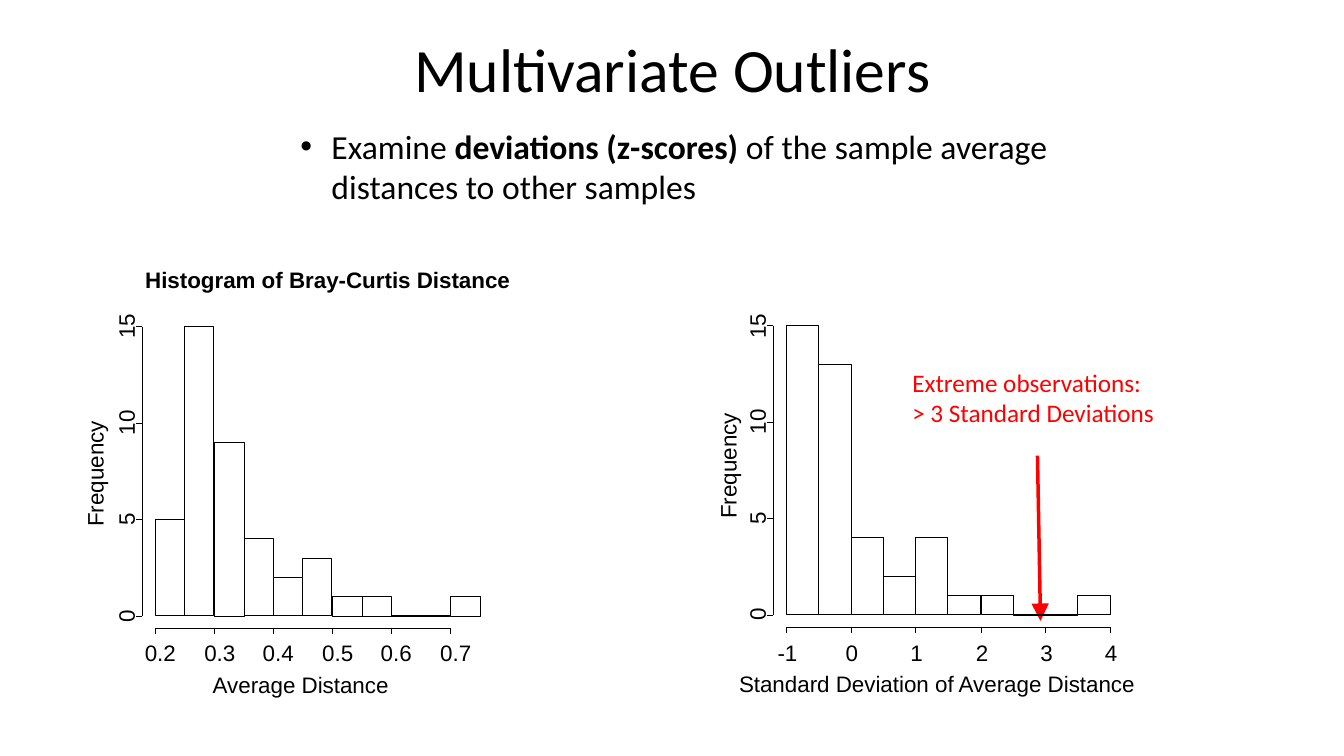
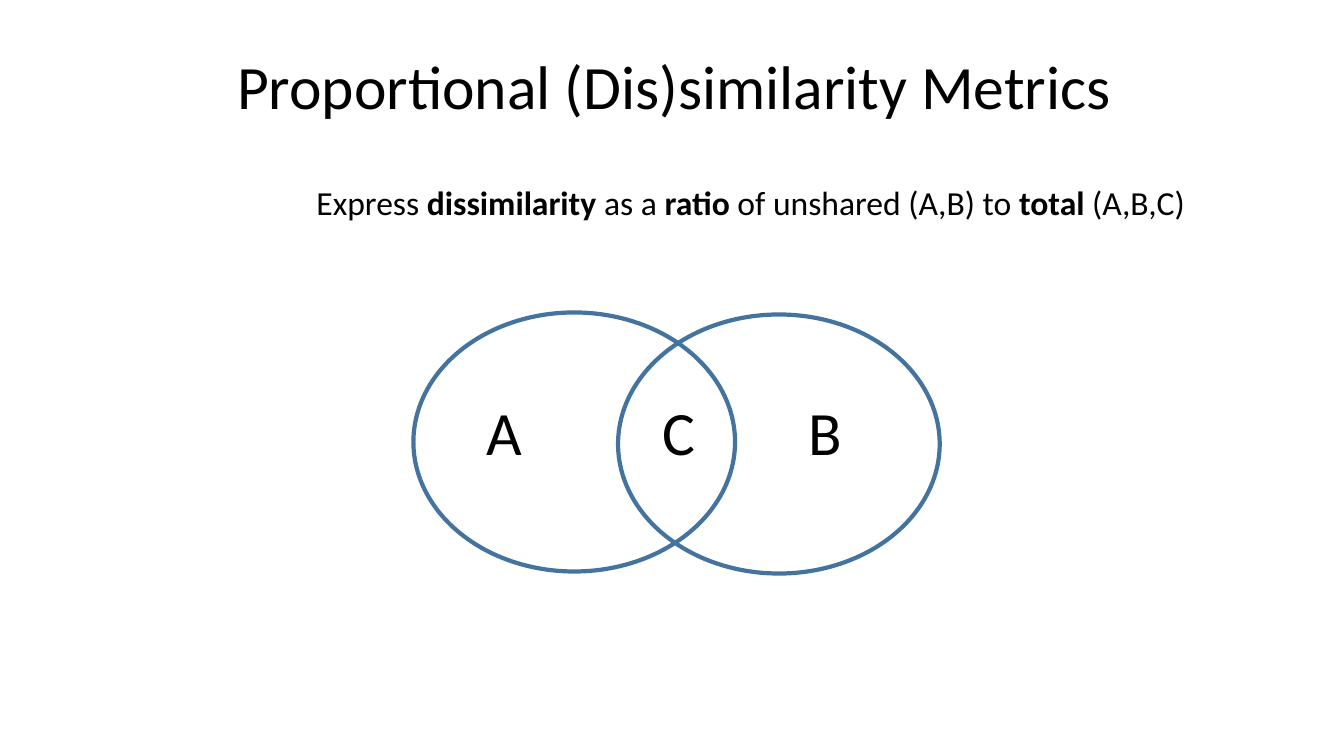
from dataclasses import dataclass

from pptx import Presentation
from pptx.dml.color import RGBColor
from pptx.enum.shapes import MSO_CONNECTOR, MSO_SHAPE
from pptx.enum.text import MSO_ANCHOR, MSO_AUTO_SIZE, PP_ALIGN
from pptx.oxml.ns import qn
from pptx.util import Emu, Pt
from lxml.etree import SubElement

PX = 9144  # 100 px to the inch
COLORS = {"text": "000000", "alert": "FF0000", "venn": "43739E"}
BODY, PLOT = "Calibri", "Arial"
PLOT_SIZE, LABEL_H = 16, 27
THIN = 0.5


@dataclass(frozen=True)
class Histogram:
    counts: tuple[int, ...]
    left: int          # first bin edge
    right: int         # last bin edge
    base: int          # y of zero
    ticks: tuple[str, ...]
    tick_shift: int    # offset of x labels from their ticks
    x_title: str
    x_title_left: int
    x_title_w: int
    y_title_x: int     # centre of the y title
    y_title_y: int


@dataclass(frozen=True)
class VennSet:
    left: int
    top: int


@dataclass(frozen=True)
class VennLabel:
    text: str
    left: int
    width: int


HISTOGRAMS = (
    Histogram((5, 15, 9, 4, 2, 3, 1, 1, 0, 0, 1), 154, 476, 611,
              ("0.2", "0.3", "0.4", "0.5", "0.6", "0.7"), 5,
              "Average Distance", 211, 177, 94, 469),
    Histogram((15, 13, 4, 2, 4, 1, 1, 0, 0, 1), 780, 1101, 610,
              ("-1", "0", "1", "2", "3", "4"), 1,
              "Standard Deviation of Average Distance", 733, 397, 722, 461),
)
BINS_PER_TICK = 2
PLOT_H, Y_MAX, Y_STEP = 287, 15, 5
TICK = 6

VENN_SETS = (VennSet(410, 310), VennSet(613, 312))
VENN_W, VENN_H = 319, 257
VENN_LABELS = (VennLabel("A", 473, 56), VennLabel("B", 792, 54),
               VennLabel("C", 647, 54))


def px(n: float) -> Emu:
    return Emu(round(n) * PX)


def rgb(name: str) -> RGBColor:
    return RGBColor.from_string(COLORS[name])


def add_text(shapes, text: str, left: float, top: float, w: float, h: float, *,
             size: int = 24, font: str = BODY, color: str = "text",
             align=PP_ALIGN.LEFT, anchor=MSO_ANCHOR.TOP, wrap: bool = False,
             inset: bool = True, rotation: int = 0, spacing: float = 1.0):
    """Lines become paragraphs; words between asterisks are bold."""
    s = shapes.add_textbox(px(left), px(top), px(w), px(h))
    s.rotation = rotation
    tf = s.text_frame
    tf.word_wrap = wrap
    tf.vertical_anchor = anchor
    tf.auto_size = MSO_AUTO_SIZE.NONE if wrap else MSO_AUTO_SIZE.SHAPE_TO_FIT_TEXT
    if not inset:
        tf.margin_left = tf.margin_right = tf.margin_top = tf.margin_bottom = 0
    for i, line in enumerate(text.split("\n")):
        p = tf.add_paragraph() if i else tf.paragraphs[0]
        p.alignment = align
        p.line_spacing = spacing
        for j, part in enumerate(line.split("*")):
            if part:
                r = p.add_run()
                r.text = part
                r.font.size, r.font.name = Pt(size), font
                r.font.bold = j % 2 == 1
                r.font.color.rgb = rgb(color)
    return s


def add_title(shapes, text: str, left: int, top: int) -> None:
    add_text(shapes, text, left, top, 1150, 145, size=44, align=PP_ALIGN.CENTER,
             anchor=MSO_ANCHOR.MIDDLE, wrap=True, spacing=0.9)


def add_plot_text(shapes, text: str, left: float, top: float, w: float,
                  **fmt) -> None:
    add_text(shapes, text, left, top, w, LABEL_H, size=PLOT_SIZE, font=PLOT,
             inset=False, **fmt)


def add_tick_label(shapes, text: str, cx: float, cy: float,
                   rotation: int = 0) -> None:
    w = 14 * len(text)  # a little wider than the digits, so no label breaks
    add_plot_text(shapes, text, cx - w / 2, cy - LABEL_H / 2, w,
                  align=PP_ALIGN.CENTER, rotation=rotation)


def add_line(shapes, x1: float, y1: float, x2: float, y2: float, *,
             color: str = "text", width: float = THIN, arrow: bool = False) -> None:
    s = shapes.add_connector(MSO_CONNECTOR.STRAIGHT, px(x1), px(y1), px(x2), px(y2))
    s.line.color.rgb = rgb(color)
    s.line.width = Pt(width)
    if arrow:
        SubElement(s.line._get_or_add_ln(), qn("a:tailEnd"), type="triangle",
                   w="lg", len="lg")
    SubElement(s._element.spPr, qn("a:effectLst"))


def add_outline(shapes, kind, left: float, top: float, w: float, h: float, *,
                color: str = "text", width: float = THIN) -> None:
    s = shapes.add_shape(kind, px(left), px(top), px(w), px(h))
    s.shadow.inherit = False
    s.fill.background()
    s.line.color.rgb = rgb(color)
    s.line.width = Pt(width)


def set_indent(p, left: int, first: int, bullet: str = "") -> None:
    pPr = p._p.get_or_add_pPr()
    pPr.set("marL", str(px(left)))
    pPr.set("indent", str(px(first)))
    if bullet:
        SubElement(pPr, qn("a:buFont"), typeface="Arial")
        SubElement(pPr, qn("a:buChar"), char=bullet)


def draw_histogram(shapes, h: Histogram) -> None:
    bin_w = (h.right - h.left) / len(h.counts)
    unit = PLOT_H / Y_MAX

    # Axis titles
    add_plot_text(shapes, h.x_title, h.x_title_left, h.base + 55, h.x_title_w)
    add_plot_text(shapes, "Frequency", h.y_title_x - 53,
                  h.y_title_y - LABEL_H / 2, 106, rotation=270)

    # Horizontal axis
    axis_y = h.base + 12
    xs = [h.left + i * BINS_PER_TICK * bin_w for i in range(len(h.ticks))]
    add_line(shapes, xs[0], axis_y, xs[-1], axis_y)
    for x, label in zip(xs, h.ticks):
        add_line(shapes, x, axis_y, x, axis_y + TICK)
        add_tick_label(shapes, label, x + h.tick_shift, h.base + 37)

    # Vertical axis
    axis_x = h.left - 13
    add_line(shapes, axis_x, h.base, axis_x, h.base - PLOT_H)
    for value in range(0, Y_MAX + 1, Y_STEP):
        y = h.base - value * unit
        add_line(shapes, axis_x, y, axis_x - TICK, y)
        add_tick_label(shapes, str(value), h.left - 29, y, rotation=270)

    # Bars
    for i, count in enumerate(h.counts):
        bar_h = count * unit
        add_outline(shapes, MSO_SHAPE.RECTANGLE, h.left + i * bin_w,
                    h.base - bar_h, bin_w, bar_h)


def build_outliers(shapes) -> None:
    add_title(shapes, "Multivariate Outliers", 92, -1)
    add_line(shapes, 1029, 452, 1032, 616, color="alert", width=2.5, arrow=True)
    add_text(shapes, "Extreme observations:\n> 3 Standard Deviations",
             895, 359, 263, 71, size=18, color="alert")
    s = add_text(shapes, "Examine *deviations (z-scores) *of the sample average\n"
                 "distances to other samples", 288, 120, 770, 91)
    first, second = s.text_frame.paragraphs
    set_indent(first, 31, -31, "•")
    set_indent(second, 31, 0)

    # Histograms
    add_plot_text(shapes, "*Histogram of Bray-Curtis Distance*", 144, 264, 367)
    for h in HISTOGRAMS:
        draw_histogram(shapes.add_group_shape().shapes, h)


def build_metrics(shapes) -> None:
    add_title(shapes, "Proportional (Dis)similarity Metrics", 94, 16)
    add_text(shapes, "Express *dissimilarity* as a *ratio* of unshared (A,B) to "
             "*total* (A,B,C)", 304, 176, 914, 50)

    # Venn diagram
    for v in VENN_SETS:
        add_outline(shapes, MSO_SHAPE.OVAL, v.left, v.top, VENN_W, VENN_H,
                    color="venn", width=3)
    for label in VENN_LABELS:
        add_text(shapes, label.text, label.left, 386, label.width, 84, size=44)


def main() -> None:
    prs = Presentation()
    prs.slide_width, prs.slide_height = px(1333), px(750)
    for build in (build_outliers, build_metrics):
        build(prs.slides.add_slide(prs.slide_layouts[6]).shapes)
    prs.save("out.pptx")


if __name__ == "__main__":
    main()
